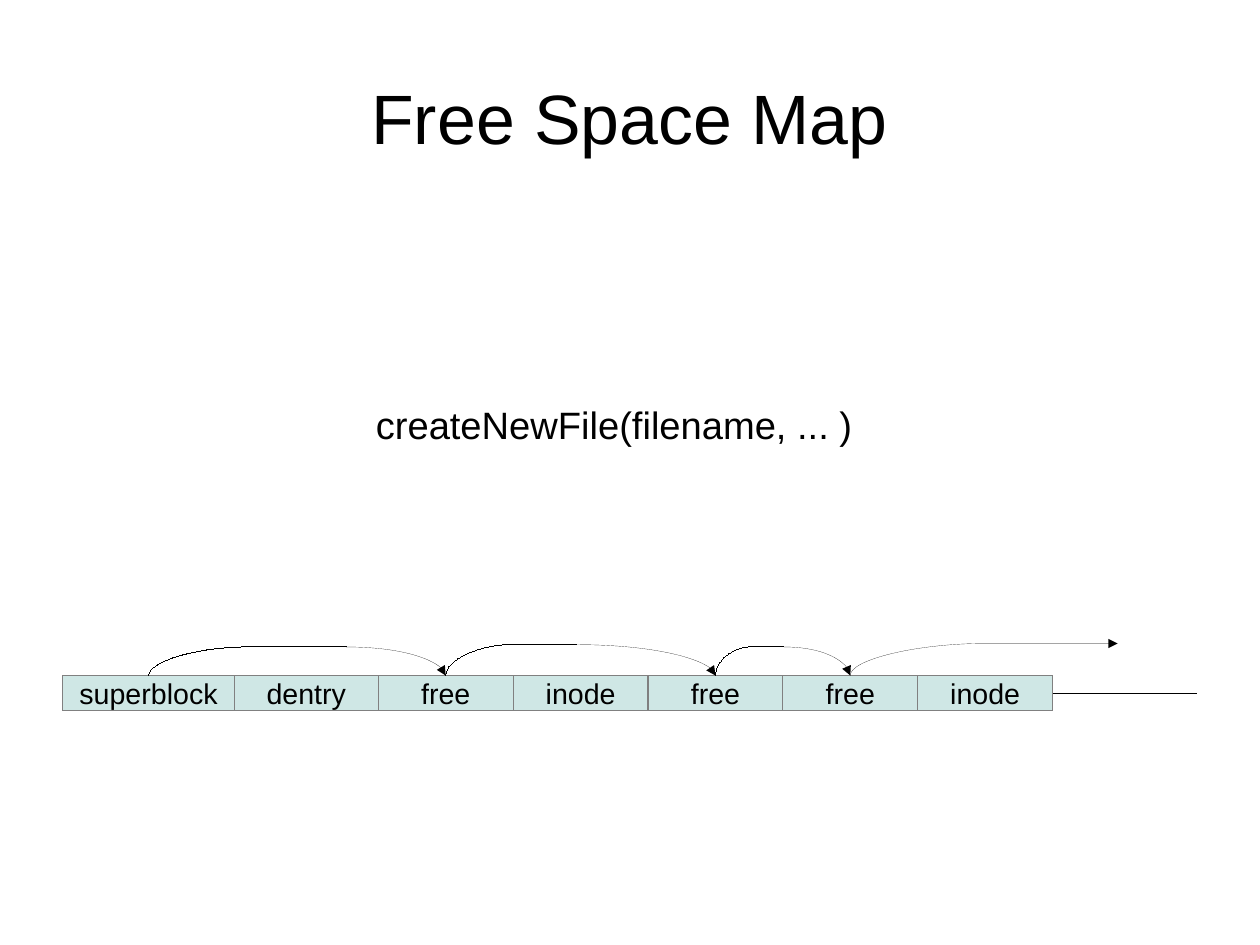
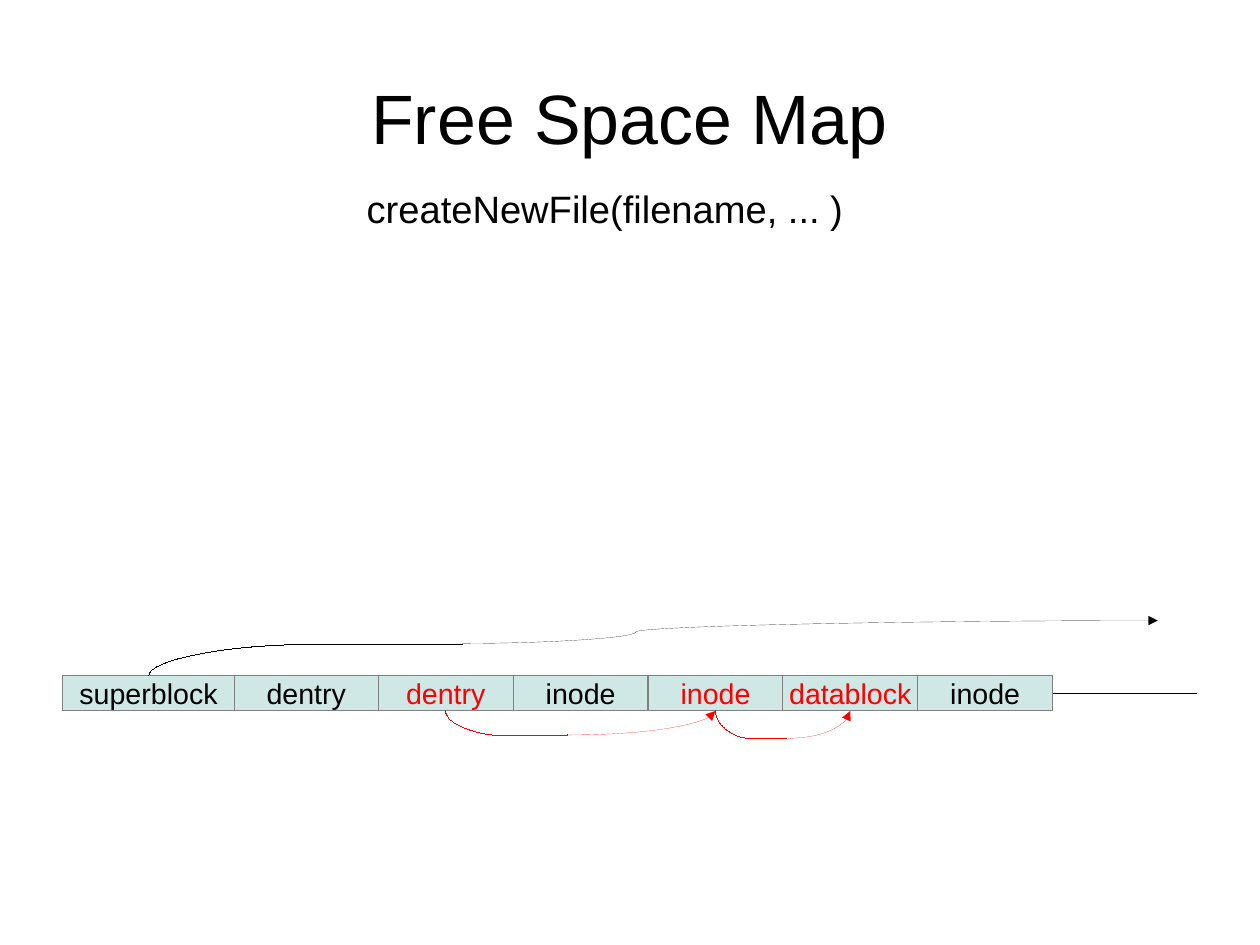
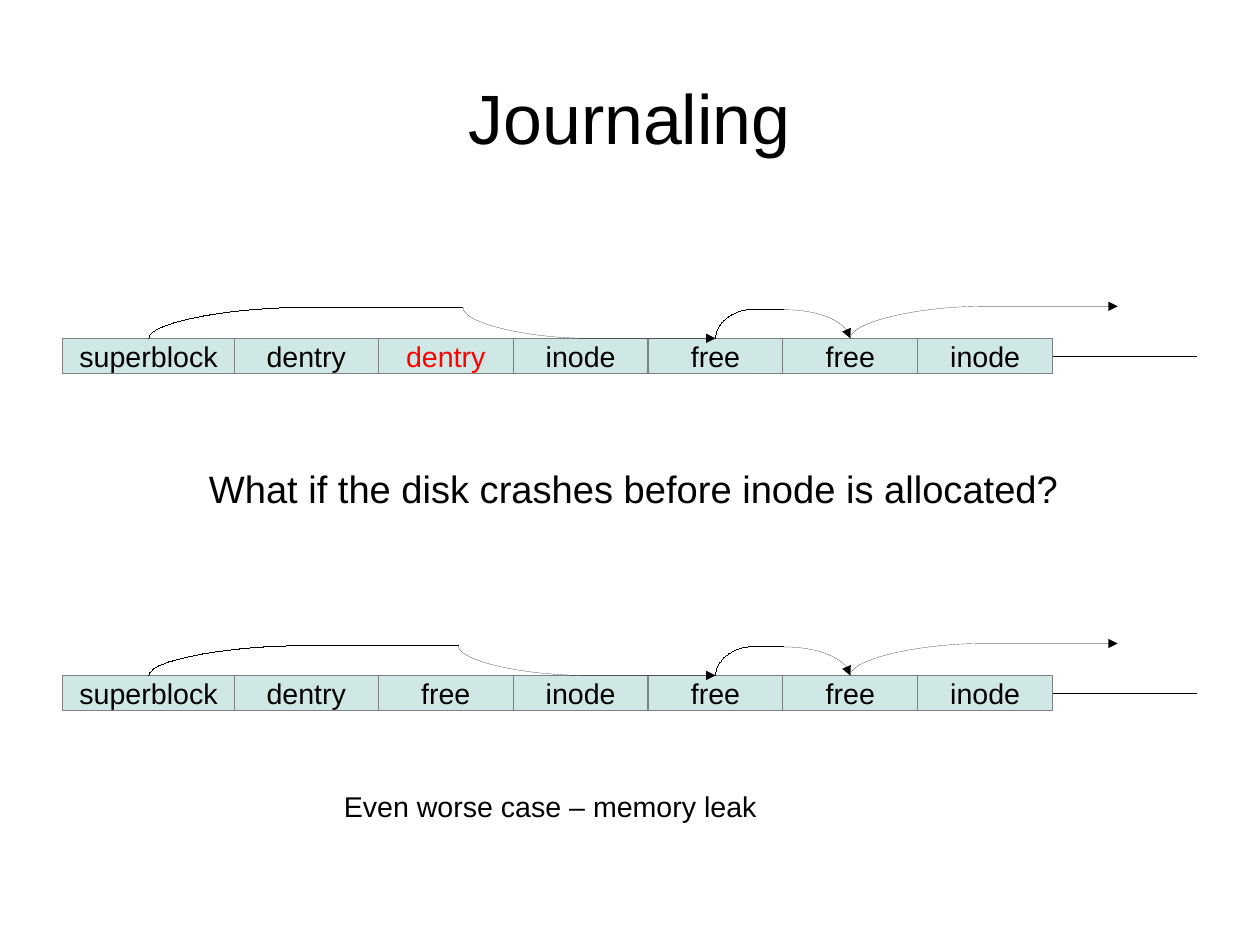
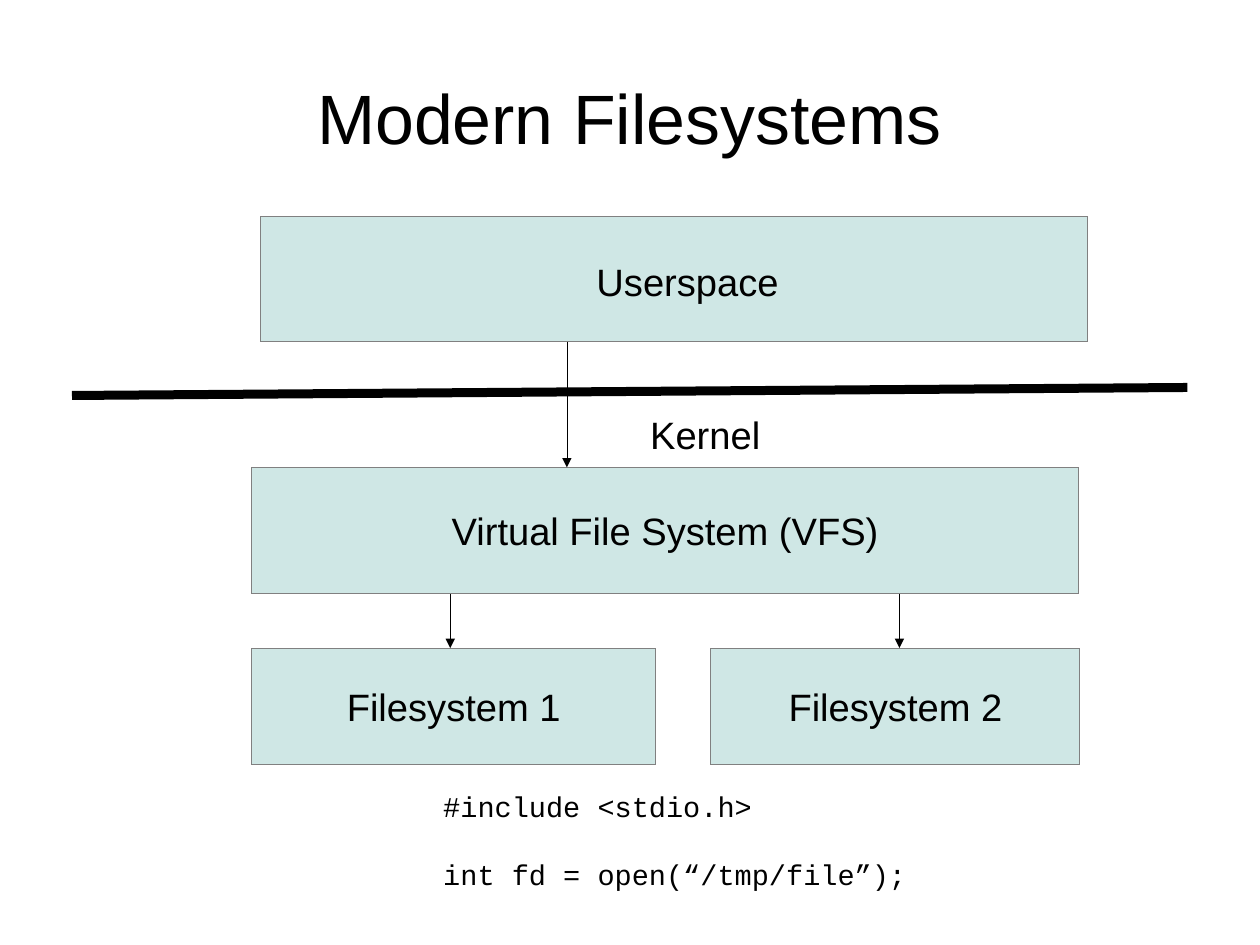
"""Build four slides on free space maps, journaling and modern filesystems."""
import enum
import itertools
from dataclasses import dataclass

import pptx
import pptx.dml.color
import pptx.enum.shapes
import pptx.enum.text
import pptx.oxml.ns
import pptx.presentation
import pptx.shapes.autoshape
import pptx.shapes.connector
import pptx.slide
import pptx.util
from lxml import etree

Inches = pptx.util.Inches
Pt = pptx.util.Pt
qn = pptx.oxml.ns.qn
ALIGN = pptx.enum.text.PP_ALIGN
ANCHOR = pptx.enum.text.MSO_ANCHOR
CONNECTOR = pptx.enum.shapes.MSO_CONNECTOR
Point = tuple[float, float]


@dataclass(frozen=True)
class Theme:
    ink: str = "000000"
    changed: str = "FF0000"
    panel: str = "CFE7E5"
    edge: str = "808080"
    background: str = "FFFFFF"
    font: str = "Arial"
    code_font: str = "Courier New"
    title_size: float = 44
    body_size: float = 24
    label_size: float = 18
    hairline: float = 0
    divider: float = 5.67
    code_gap: float = 21.5


THEME = Theme()


class Bend(enum.Enum):
    LEAVE_UPRIGHT = "curvedConnector3"
    ARRIVE_UPRIGHT = "curvedConnector2"
    LEVEL = "level"


@dataclass(frozen=True)
class Box:
    left: float
    top: float
    width: float
    height: float


@dataclass(frozen=True)
class Block:
    label: str
    color: str = THEME.ink


@dataclass(frozen=True)
class Arc:
    start: Point
    end: Point
    bend: Bend
    arrow: bool = False
    color: str = THEME.ink
    reach: float = 1


SLIDE_WIDTH = pptx.util.Emu(10080625)
SLIDE_HEIGHT = pptx.util.Emu(7559675)
ROW_LEFT, ROW_RIGHT = 0.55, 10.47
ROW_HEIGHT = 0.31
UPPER_ROW, LOWER_ROW = 2.96, 5.91
BLOCK_WIDTHS = [1.5, 1.26] + [1.18] * 5
BLOCK_LEFTS = list(itertools.accumulate(BLOCK_WIDTHS[:-1], initial=ROW_LEFT))
CENTERS = [left + width / 2 for left, width in zip(BLOCK_LEFTS, BLOCK_WIDTHS)]
SUPERBLOCK, _, THIRD, _, FIFTH, SIXTH, _ = CENTERS

SUPER, DENTRY, FREE, INODE = map(Block, ("superblock", "dentry", "free", "inode"))
NEW_DENTRY, NEW_INODE, NEW_DATA = (
    Block(label, THEME.changed) for label in ("dentry", "inode", "datablock")
)


def hop(start: Point, crest: Point, end: Point, color: str = THEME.ink, reach: float = 1) -> list[Arc]:
    """Return the two arcs that lead over a crest to an arrowhead."""
    return [
        Arc(start, crest, Bend.LEAVE_UPRIGHT, color=color, reach=reach),
        Arc(crest, end, Bend.ARRIVE_UPRIGHT, True, color),
    ]


def skip_third(crest_x: float, rise: float) -> list[Arc]:
    """Return the arcs from the superblock past the third block."""
    return [
        Arc((SUPERBLOCK, 0), (crest_x, -rise), Bend.LEAVE_UPRIGHT),
        Arc((crest_x, -rise), (FIFTH, 0), Bend.LEAVE_UPRIGHT, True),
    ]


FREE_TAIL = hop((FIFTH, 0), (6.86, -0.25), (SIXTH, 0)) + [
    Arc((SIXTH, 0), (9.78, -0.28), Bend.LEAVE_UPRIGHT, True)
]
FREE_LIST = (
    hop((SUPERBLOCK, 0), (3.03, -0.25), (THIRD, 0))
    + hop((THIRD, 0), (5.04, -0.27), (FIFTH, 0))
    + FREE_TAIL
)
ALLOCATED = (
    [
        Arc((SUPERBLOCK, 0), (4.05, -0.27), Bend.LEAVE_UPRIGHT),
        Arc((4.04, -0.28), (10.13, -0.48), Bend.LEVEL, True, reach=0.25),
    ]
    + hop((THIRD, ROW_HEIGHT), (4.97, 0.52), (FIFTH, ROW_HEIGHT), THEME.changed, 1.04)
    + hop((FIFTH, ROW_HEIGHT), (6.88, 0.55), (SIXTH, ROW_HEIGHT), THEME.changed)
)


def rgb(color: str) -> pptx.dml.color.RGBColor:
    """Turn a hexadecimal string into a colour."""
    return pptx.dml.color.RGBColor.from_string(color)


def drop_style(element) -> None:
    """Remove the theme style so that only explicit formatting applies."""
    element.remove(element.find(qn("p:style")))


def write(
    frame,
    lines: list[str],
    size: float,
    *,
    color: str = THEME.ink,
    font: str = THEME.font,
    align: ALIGN = ALIGN.LEFT,
    gap: float = 0,
) -> None:
    """Write one paragraph per line into a text frame."""
    for index, line in enumerate(lines):
        paragraph = frame.add_paragraph() if index else frame.paragraphs[0]
        paragraph.alignment = align
        paragraph.space_before = Pt(gap if index else 0)
        run = paragraph.add_run()
        run.text = line
        run.font.name = font
        run.font.size = Pt(size)
        run.font.color.rgb = rgb(color)


def add_frame(slide: pptx.slide.Slide, box: Box, wrap: bool):
    """Add a text box and return its text frame."""
    frame = slide.shapes.add_textbox(
        Inches(box.left), Inches(box.top), Inches(box.width), Inches(box.height)
    ).text_frame
    frame.word_wrap = wrap
    return frame


def add_text(slide: pptx.slide.Slide, box: Box, text: str, size: float = THEME.body_size) -> None:
    """Add a single unwrapped line of text."""
    frame = add_frame(slide, box, False)
    frame.auto_size = pptx.enum.text.MSO_AUTO_SIZE.SHAPE_TO_FIT_TEXT
    write(frame, [text], size)


def add_code(slide: pptx.slide.Slide, box: Box, lines: list[str]) -> None:
    """Add spaced lines of code."""
    frame = add_frame(slide, box, True)
    write(frame, lines, THEME.label_size, font=THEME.code_font, gap=THEME.code_gap)


def add_panel(
    slide: pptx.slide.Slide,
    box: Box,
    label: str = "",
    size: float = THEME.body_size,
    color: str = THEME.ink,
) -> pptx.shapes.autoshape.Shape:
    """Add a tinted rectangle with an optional centred label."""
    panel = slide.shapes.add_shape(
        pptx.enum.shapes.MSO_SHAPE.RECTANGLE,
        Inches(box.left), Inches(box.top), Inches(box.width), Inches(box.height),
    )
    drop_style(panel._element)
    panel.shadow.inherit = False
    panel.fill.solid()
    panel.fill.fore_color.rgb = rgb(THEME.panel)
    panel.line.color.rgb = rgb(THEME.edge)
    panel.line.width = Pt(THEME.hairline)
    if label:
        panel.text_frame.word_wrap = False
        panel.text_frame.vertical_anchor = ANCHOR.MIDDLE
        write(panel.text_frame, [label], size, color=color, align=ALIGN.CENTER)
    return panel


def add_line(
    slide: pptx.slide.Slide,
    start: Point,
    end: Point,
    *,
    kind: CONNECTOR = CONNECTOR.STRAIGHT,
    color: str = THEME.ink,
    width: float = THEME.hairline,
    arrow: bool = False,
) -> pptx.shapes.connector.Connector:
    """Add a connector without a shadow."""
    line = slide.shapes.add_connector(kind, *map(Inches, (*start, *end)))
    drop_style(line._element)
    line.line.color.rgb = rgb(color)
    line.line.width = Pt(width)
    properties = line._element.spPr
    if arrow:
        etree.SubElement(properties.find(qn("a:ln")), qn("a:tailEnd"), type="triangle")
    etree.SubElement(properties, qn("a:effectLst"))
    return line


def add_arc(slide: pptx.slide.Slide, arc: Arc, row_top: float) -> None:
    """Add a curved connector placed relative to a row of blocks."""
    (x0, dy0), (x1, dy1) = arc.start, arc.end
    start, end = (x0, row_top + dy0), (x1, row_top + dy1)
    rising = dy1 < dy0
    upright = arc.bend is Bend.LEAVE_UPRIGHT
    if upright:
        middle_x, middle_y = (x0 + x1) / 2, row_top + (dy0 + dy1) / 2
        half_width = abs(dy1 - dy0) / 2
        half_height = (x1 - x0) / 2 * (1 if rising else -1)
        start = (middle_x + half_width, middle_y + half_height)
        end = (middle_x - half_width, middle_y - half_height)
    curve = add_line(slide, start, end, kind=CONNECTOR.CURVE, color=arc.color, arrow=arc.arrow)
    properties = curve._element.spPr
    geometry = properties.find(qn("a:prstGeom"))
    if upright:
        degrees = 90 if rising else 270
        properties.find(qn("a:xfrm")).set("rot", str(degrees * 60000))
    if arc.bend is Bend.ARRIVE_UPRIGHT:
        geometry.set("prst", arc.bend.value)
    else:
        etree.SubElement(
            geometry.find(qn("a:avLst")), qn("a:gd"),
            name="adj1", fmla=f"val {round(arc.reach * 100000)}",
        )


def add_disk(slide: pptx.slide.Slide, top: float, blocks: list[Block], arcs: list[Arc]) -> None:
    """Add a row of disk blocks with its pointers."""
    middle = top + ROW_HEIGHT / 2
    disk = add_line(slide, (ROW_LEFT, middle), (ROW_RIGHT, middle))
    panels = [
        add_panel(slide, Box(left, top, width, ROW_HEIGHT), block.label, THEME.label_size, block.color)
        for left, width, block in zip(BLOCK_LEFTS, BLOCK_WIDTHS, blocks)
    ]
    disk.begin_connect(panels[0], 1)
    for arc in arcs:
        add_arc(slide, arc, top)


def new_slide(deck: pptx.presentation.Presentation, title: str) -> pptx.slide.Slide:
    """Add a blank slide with the shared background and title."""
    slide = deck.slides.add_slide(deck.slide_layouts[6])
    slide.background.fill.solid()
    slide.background.fill.fore_color.rgb = rgb(THEME.background)
    frame = add_frame(slide, Box(ROW_LEFT, 0.33, ROW_RIGHT - ROW_LEFT, 1.38), True)
    frame.vertical_anchor = ANCHOR.MIDDLE
    frame.margin_left = frame.margin_right = frame.margin_top = frame.margin_bottom = 0
    write(frame, [title], THEME.title_size, align=ALIGN.CENTER)
    return slide


def free_space_before(deck: pptx.presentation.Presentation) -> None:
    """Show the free list before a file is created."""
    slide = new_slide(deck, "Free Space Map")
    add_text(slide, Box(3.19, 3.46, 4.37, 0.47), "createNewFile(filename, ... )")
    add_disk(slide, LOWER_ROW, [SUPER, DENTRY, FREE, INODE, FREE, FREE, INODE], FREE_LIST)


def free_space_after(deck: pptx.presentation.Presentation) -> None:
    """Show the blocks taken by the new file."""
    slide = new_slide(deck, "Free Space Map")
    add_text(slide, Box(3.11, 1.57, 4.37, 0.47), "createNewFile(filename, ... )")
    blocks = [SUPER, DENTRY, NEW_DENTRY, INODE, NEW_INODE, NEW_DATA, INODE]
    add_disk(slide, LOWER_ROW, blocks, ALLOCATED)


def journaling(deck: pptx.presentation.Presentation) -> None:
    """Show two states left by a crash."""
    slide = new_slide(deck, "Journaling")
    add_text(slide, Box(1.73, 4.02, 7.63, 0.47), "What if the disk crashes before inode is allocated?")
    for top, third, crest_x, rise in (
        (UPPER_ROW, NEW_DENTRY, 4.05, 0.27),
        (LOWER_ROW, FREE, 4.01, 0.26),
    ):
        blocks = [SUPER, DENTRY, third, INODE, FREE, FREE, INODE]
        add_disk(slide, top, blocks, skip_third(crest_x, rise) + FREE_TAIL)
    add_text(slide, Box(2.91, 6.85, 3.81, 0.38), "Even worse case – memory leak", THEME.label_size)


def modern_filesystems(deck: pptx.presentation.Presentation) -> None:
    """Show the layers from userspace to the filesystems."""
    slide = new_slide(deck, "Modern Filesystems")
    add_panel(slide, Box(2.2, 5.67, 3.54, 1.02), "Filesystem 1")
    add_panel(slide, Box(6.22, 5.67, 3.23, 1.02), "Filesystem 2")
    add_panel(slide, Box(2.28, 1.89, 7.24, 1.1))
    add_text(slide, Box(5.12, 2.21, 1.79, 0.47), "Userspace")
    add_text(slide, Box(5.59, 3.55, 1.18, 0.47), "Kernel")
    add_line(slide, (0.63, 3.46), (10.39, 3.39), width=THEME.divider)
    add_panel(slide, Box(2.2, 4.09, 7.24, 1.1), "Virtual File System (VFS)")
    for x, top, bottom in ((4.96, 2.99, 4.09), (3.94, 5.2, 5.67), (7.87, 5.2, 5.67)):
        add_line(slide, (x, top), (x, bottom), arrow=True)
    add_code(slide, Box(3.78, 6.85, 4.7, 0.95), ["#include <stdio.h>", "int fd = open(“/tmp/file”);"])


def main() -> None:
    """Build and save the deck."""
    deck = pptx.Presentation()
    deck.slide_width = SLIDE_WIDTH
    deck.slide_height = SLIDE_HEIGHT
    for build in (free_space_before, free_space_after, journaling, modern_filesystems):
        build(deck)
    deck.save("out.pptx")


if __name__ == "__main__":
    main()
